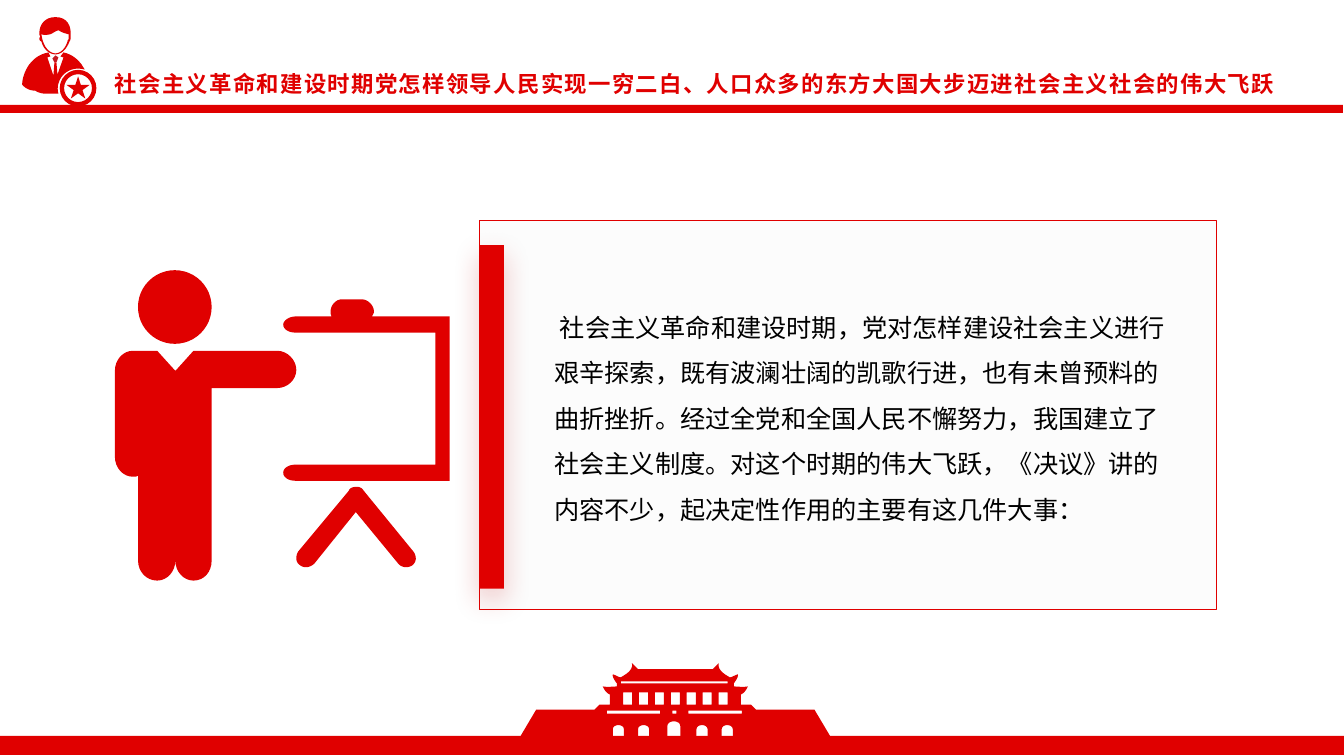
from lxml import etree
from pptx import Presentation
from pptx.dml.color import RGBColor
from pptx.enum.shapes import MSO_SHAPE
from pptx.oxml.ns import qn
from pptx.util import Pt

RECT, OVAL = MSO_SHAPE.RECTANGLE, MSO_SHAPE.OVAL
DONUT, STAR = MSO_SHAPE.DONUT, MSO_SHAPE.STAR_5_POINT
FONT = "Noto Sans CJK SC"
COLORS = {"red": "E00000", "tie": "C61821", "panel": "F2F2F2",
          "text": "000000", "glow": "C30F0F"}

# Content
TITLE = "社会主义革命和建设时期党怎样领导人民实现一穷二白、人口众多的东方大国大步迈进社会主义社会的伟大飞跃"
BODY = ("社会主义革命和建设时期，党对怎样建设社会主义进行艰辛探索，既有波澜壮阔的凯歌行进，"
        "也有未曾预料的曲折挫折。经过全党和全国人民不懈努力，我国建立了社会主义制度。"
        "对这个时期的伟大飞跃，《决议》讲的内容不少，起决定性作用的主要有这几件大事：")

# Boxes in points: left, top, width, height
FOOTER_BAR = (0, 525.6, 960, 13.7)
HEADER_BAR = (-0.7, 74.9, 960, 5.8)
TITLE_BOX = (74.9, 46.8, 862.6, 26.6)
PANEL = (342.7, 157.7, 526.3, 277.9)
BODY_BOX = (388.8, 208.8, 459.4, 170.6)
ACCENT = (342.7, 175, 17.3, 245.5)
PRESENTER_HEAD = (98.6, 193, 52.6, 52.6)
BADGE_RING = (42.7, 49.9, 26.2, 26.2)
BADGE_STAR = (47.5, 54.6, 16.6, 15.8)

# Outlines on a grid of 0.72 points; a pair is a corner, six numbers a Bezier curve
UNIT = 0.72
TIE = [[(52, 58), (54, 62), (56, 62), (58, 57), (55, 55)]]
HAIR_AND_FACE = [
    [(39, 38), (39, 40, 40, 41, 41, 41), (43, 49, 49, 54, 55, 54),
     (61, 54, 66, 49, 69, 41), (70, 40, 70, 39, 70, 36), (71, 26, 67, 17, 55, 17),
     (44, 17, 39, 25, 39, 33), (39, 34, 39, 35, 40, 36)],
    [(41, 34), (43, 35, 49, 35, 52, 33), (55, 31, 58, 30, 58, 30),
     (58, 30, 59, 31, 64, 33), (65, 33, 67, 34, 68, 34), (68, 39),
     (67, 40, 67, 40, 67, 41), (65, 48, 60, 53, 55, 53),
     (50, 53, 45, 48, 43, 42), (42, 40, 41, 34, 41, 34)]]
JACKET = [
    [(63, 74), (69, 68, 77, 67, 84, 69), (83, 67, 82, 66, 81, 64),
     (77, 59, 72, 54, 63, 52), (60, 56), (63, 57), (57, 74), (56, 62), (54, 62),
     (53, 75), (47, 57), (50, 56), (48, 52), (38, 54, 33, 59, 29, 64),
     (24, 71, 22, 79, 22, 84), (26, 89, 32, 90, 35, 90),
     (38, 92, 42, 93, 46, 93), (58, 93), (56, 87, 58, 79, 63, 74)]]
PRESENTER_BODY = [
    [(275, 348), (192, 348), (174, 368), (156, 348), (132, 348),
     (122, 348, 114, 357, 114, 368), (114, 453), (114, 464, 122, 473, 132, 473),
     (134, 473, 135, 473, 137, 472), (137, 556), (137, 567, 145, 576, 156, 576),
     (166, 576, 174, 567, 174, 556), (174, 567, 182, 576, 192, 576),
     (203, 576, 210, 567, 210, 556), (210, 385), (275, 385),
     (285, 385, 294, 377, 294, 367), (294, 357, 285, 348, 275, 348)]]
BOARD = [
    [(446, 314), (369, 314), (370, 312, 371, 311, 371, 309),
     (371, 303, 365, 297, 359, 297), (339, 297), (333, 297, 328, 303, 328, 309),
     (328, 311, 328, 312, 329, 314), (293, 314), (287, 314, 281, 318, 281, 322),
     (281, 327, 287, 330, 293, 330), (432, 330), (432, 461), (293, 461),
     (287, 461, 281, 464, 281, 469), (281, 474, 287, 477, 293, 477), (446, 477)]]
EASEL_LEGS = [
    [(410, 547), (361, 487), (359, 484, 357, 483, 354, 483),
     (350, 483, 347, 484, 346, 487), (296, 547), (293, 552, 293, 558, 298, 561),
     (302, 564, 308, 563, 312, 559), (353, 508), (395, 559),
     (398, 563, 404, 564, 409, 561), (413, 558, 414, 552, 410, 547)]]

# Gate: left half of the outline, measured from the axis, then its openings
GATE_AXIS, GATE_BASE = 670, 731
GATE_HALF = [(-37, 664), (-43, 658), (-41, 666, -53, 671, -54, 672),
             (-56, 672, -59, 670, -62, 669), (-63, 672, -58, 678, -58, 678),
             (-58, 681), (-58, 681, -69, 682, -72, 681),
             (-69, 688, -65, 689, -65, 689), (-65, 699), (-75, 699), (-80, 704),
             (-138, 704), (-154, GATE_BASE)]
WINDOW_COUNT, WINDOW_PITCH = 7, 15.8
GATE_SLITS = [(616, 676, 106, 2), (602, 705, 53, 3), (667, 705, 4, 3), (683, 705, 53, 3)]
GATE_DOORS = [(608, 718, 11), (633, 718, 11), (662, 714, 13), (691, 718, 11), (716, 718, 11)]


def flatten(contour, steps=8):
    points = []
    for part in contour:
        if len(part) == 2:
            points.append(part)
            continue
        nodes = [points[-1], part[:2], part[2:4], part[4:]]
        for step in range(1, steps + 1):
            t = step / steps
            weights = ((1 - t) ** 3, 3 * t * (1 - t) ** 2, 3 * t * t * (1 - t), t ** 3)
            points.append(tuple(sum(w * node[axis] for w, node in zip(weights, nodes))
                                for axis in (0, 1)))
    return points


def rectangle(left, top, width, height):
    return [(left, top), (left + width, top), (left + width, top + height), (left, top + height)]


def door(left, top, width):
    right, spring = left + width, top + width / 2
    return [(left, GATE_BASE), (left, spring), (left, top, right, top, right, spring),
            (right, GATE_BASE)]


def gate_contours():
    half = flatten(GATE_HALF)
    outline = [(GATE_AXIS + x, y) for x, y in half]
    outline += [(GATE_AXIS - x, y) for x, y in reversed(half)]
    first = GATE_AXIS - WINDOW_PITCH * (WINDOW_COUNT - 1) / 2 - 4.5
    windows = [rectangle(first + i * WINDOW_PITCH, 687, 9, 12) for i in range(WINDOW_COUNT)]
    return ([outline] + windows + [rectangle(*slit) for slit in GATE_SLITS]
            + [door(*opening) for opening in GATE_DOORS])


def paint(shape, color):
    shape.shadow.inherit = False
    shape.fill.solid()
    shape.fill.fore_color.rgb = RGBColor.from_string(COLORS[color])
    shape.line.fill.background()
    return shape


def add_preset(page, kind, box, color="red"):
    return paint(page.shapes.add_shape(kind, *map(Pt, box)), color)


def add_outline(page, contours, color="red"):
    builder = None
    for contour in contours:
        points = [(Pt(x * UNIT), Pt(y * UNIT)) for x, y in flatten(contour)]
        if builder is None:
            builder = page.shapes.build_freeform(*points[0], scale=1.0)
        else:
            builder.move_to(*points[0])
        builder.add_line_segments(points[1:], close=True)
    return paint(builder.convert_to_shape(), color)


def add_text(page, box, text, color, font_format, para_format):
    frame = page.shapes.add_textbox(*map(Pt, box)).text_frame
    frame.word_wrap = True
    para = frame.paragraphs[0]
    span = para.add_run()
    span.text = text
    span.font.color.rgb = RGBColor.from_string(COLORS[color])
    for target, values in ((span.font, font_format), (para, para_format)):
        for name, value in values.items():
            setattr(target, name, value)
    props = span._r.get_or_add_rPr()
    etree.SubElement(props, qn("a:ea"), typeface=FONT)
    return para, props


def set_alpha(color_node, percent):
    etree.SubElement(color_node, qn("a:alpha"), val=str(percent * 1000))


def add_glow(shape):
    effects = shape._element.spPr.find(qn("a:effectLst"))
    shadow = etree.SubElement(effects, qn("a:outerShdw"), blurRad=str(Pt(20)),
                              dist=str(Pt(8)), dir="5400000", algn="t", rotWithShape="0")
    set_alpha(etree.SubElement(shadow, qn("a:srgbClr"), val=COLORS["glow"]), 23)


def main():
    deck = Presentation()
    deck.slide_width, deck.slide_height = Pt(960), Pt(540)
    page = deck.slides.add_slide(deck.slide_layouts[6])

    # Badge and official
    ring = add_preset(page, DONUT, BADGE_RING)
    ring.adjustments[0] = 0.12
    add_preset(page, STAR, BADGE_STAR)
    add_outline(page, TIE, "tie")
    add_outline(page, HAIR_AND_FACE)
    add_outline(page, JACKET)

    # Footer, gate and header
    add_preset(page, RECT, FOOTER_BAR)
    add_outline(page, gate_contours())
    add_preset(page, RECT, HEADER_BAR)
    _, title_props = add_text(page, TITLE_BOX, TITLE, "red",
                              {"size": Pt(16), "bold": True, "name": FONT}, {})
    title_props.set("spc", "100")

    # Text panel
    panel = add_preset(page, RECT, PANEL, "panel")
    set_alpha(panel._element.spPr.find(qn("a:solidFill"))[0], 20)
    panel.line.color.rgb = RGBColor.from_string(COLORS["red"])
    panel.line.width = Pt(0.75)
    para, _ = add_text(page, BODY_BOX, BODY, "text", {"size": Pt(18), "name": FONT},
                       {"line_spacing": 1.5, "space_after": Pt(12)})
    para._p.get_or_add_pPr().set("indent", str(Pt(4)))
    add_glow(add_preset(page, RECT, ACCENT))

    # Presenter with board
    add_preset(page, OVAL, PRESENTER_HEAD)
    for contours in (PRESENTER_BODY, BOARD, EASEL_LEGS):
        add_outline(page, contours)

    deck.save("out.pptx")


if __name__ == "__main__":
    main()
